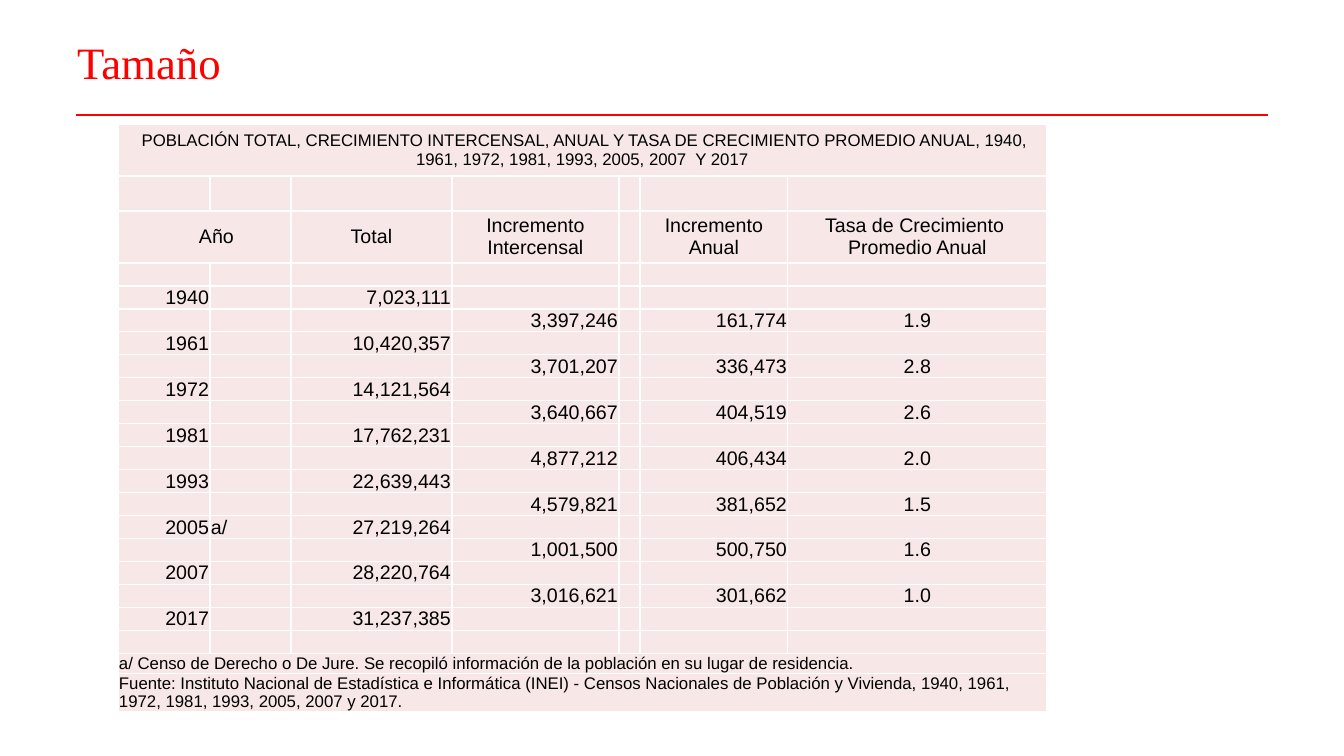
from dataclasses import dataclass
from typing import Any

from lxml import etree
from pptx import Presentation
from pptx.dml.color import RGBColor
from pptx.enum.shapes import MSO_CONNECTOR
from pptx.enum.text import MSO_ANCHOR, MSO_AUTO_SIZE, PP_ALIGN
from pptx.oxml.ns import qn
from pptx.slide import Slide
from pptx.table import Table, _Cell
from pptx.util import Emu, Pt

LEFT, CENTER, RIGHT = PP_ALIGN.LEFT, PP_ALIGN.CENTER, PP_ALIGN.RIGHT
MIDDLE = MSO_ANCHOR.MIDDLE
NO_AUTOFIT = MSO_AUTO_SIZE.NONE
STRAIGHT = MSO_CONNECTOR.STRAIGHT

RED = RGBColor(0xFF, 0x00, 0x00)
BLACK = RGBColor(0x00, 0x00, 0x00)
WHITE = RGBColor(0xFF, 0xFF, 0xFF)
PALE_PINK = RGBColor(0xF7, 0xE8, 0xE7)

EMU_PER_PX = 914400 / 100.8
BODY_SIZE, SMALL_SIZE, BLANK_SIZE = 14, 12, 10

COLUMN_WIDTHS = [92, 81, 161, 167, 21, 148, 259]
YEAR, NOTE, TOTAL, INCREMENT, _, ANNUAL, RATE = range(len(COLUMN_WIDTHS))
CAPTION_ROW, HEADING_ROW, FIRST_CENSUS_ROW = 0, 2, 4


@dataclass(frozen=True)
class Census:
    year: str
    total: str
    note: str = ""


@dataclass(frozen=True)
class Interval:
    increment: str
    annual: str
    rate: str


@dataclass(frozen=True)
class Entry:
    row: int
    column: int
    text: str
    align: PP_ALIGN = CENTER
    size: int = BODY_SIZE
    span: int = 1
    indent: int = 1


CENSUSES = [
    Census("1940", "7,023,111"),
    Census("1961", "10,420,357"),
    Census("1972", "14,121,564"),
    Census("1981", "17,762,231"),
    Census("1993", "22,639,443"),
    Census("2005", "27,219,264", "a/"),
    Census("2007", "28,220,764"),
    Census("2017", "31,237,385"),
]
INTERVALS = [
    Interval("3,397,246", "161,774", "1.9"),
    Interval("3,701,207", "336,473", "2.8"),
    Interval("3,640,667", "404,519", "2.6"),
    Interval("4,877,212", "406,434", "2.0"),
    Interval("4,579,821", "381,652", "1.5"),
    Interval("1,001,500", "500,750", "1.6"),
    Interval("3,016,621", "301,662", "1.0"),
]
# Caption, gap, headings, gap, census and interval rows, gap, two footnotes
ROW_HEIGHTS = [52, 35, 52] + [23] * (len(CENSUSES) + len(INTERVALS) + 2) + [20, 38]
FOOTNOTE_ROW = len(ROW_HEIGHTS) - 2

CAPTION = (
    " POBLACIÓN TOTAL, CRECIMIENTO INTERCENSAL, ANUAL Y TASA DE CRECIMIENTO "
    "PROMEDIO ANUAL, 1940, 1961, 1972, 1981, 1993, 2005, 2007  Y 2017"
)
FOOTNOTES = [
    "a/ Censo de Derecho o De Jure. Se recopiló información de la población "
    "en su lugar de residencia.",
    "Fuente: Instituto Nacional de Estadística e Informática (INEI) - Censos "
    "Nacionales de Población y Vivienda, 1940, 1961, 1972, 1981, 1993, 2005, "
    "2007 y 2017.",
]


def px(length: int) -> Emu:
    return Emu(round(length * EMU_PER_PX))


def apply(target: Any, values: dict[str, Any]) -> None:
    for attribute, value in values.items():
        setattr(target, attribute, value)


def add_heading(slide: Slide, text: str) -> None:
    title = slide.shapes.title
    apply(title, {"left": px(67), "top": px(30), "width": px(1120), "height": px(69)})
    frame = title.text_frame
    frame.text = text
    apply(frame, {"vertical_anchor": MIDDLE, "auto_size": NO_AUTOFIT, "word_wrap": True})
    paragraph = frame.paragraphs[0]
    apply(paragraph, {"alignment": LEFT, "line_spacing": 0.9})
    font = paragraph.runs[0].font
    apply(font, {"name": "Times New Roman", "size": Pt(32)})
    font.color.rgb = RED


def add_rule(slide: Slide) -> None:
    rule = slide.shapes.add_connector(STRAIGHT, px(76), px(115), px(1268), px(115))
    rule.line.color.rgb = RED
    rule.line.width = Pt(1)
    etree.SubElement(rule._element.spPr, qn("a:effectLst"))


def format_cell(cell: _Cell) -> None:
    apply(cell, {
        "margin_left": px(1), "margin_right": px(1),
        "margin_top": 0, "margin_bottom": 0,
        "vertical_anchor": MIDDLE,
    })
    properties = cell._tc.get_or_add_tcPr()
    for side in ("a:lnL", "a:lnR", "a:lnT", "a:lnB"):
        border = etree.SubElement(properties, qn(side), w=str(Pt(1)))
        fill = etree.SubElement(border, qn("a:solidFill"))
        etree.SubElement(fill, qn("a:srgbClr"), val=str(WHITE))
    cell.fill.solid()
    cell.fill.fore_color.rgb = PALE_PINK
    # Small blank cells keep their rows from growing
    paragraph = cell.text_frame.paragraphs[0]._p
    etree.SubElement(paragraph, qn("a:endParaRPr"), sz=str(BLANK_SIZE * 100))


def fill_cell(table: Table, entry: Entry) -> None:
    cell = table.cell(entry.row, entry.column)
    if entry.span > 1:
        cell.merge(table.cell(entry.row, entry.column + entry.span - 1))
    cell.margin_left = px(entry.indent)
    paragraph = cell.text_frame.paragraphs[0]
    paragraph.text = entry.text
    paragraph.alignment = entry.align
    for run in paragraph.runs:
        apply(run.font, {"name": "Arial", "size": Pt(entry.size), "bold": False})
        run.font.color.rgb = BLACK


def table_entries() -> list[Entry]:
    full = len(COLUMN_WIDTHS)
    entries = [
        Entry(CAPTION_ROW, YEAR, CAPTION, size=SMALL_SIZE, span=full),
        Entry(HEADING_ROW, YEAR, "Año", span=2, indent=25),
        Entry(HEADING_ROW, TOTAL, "Total"),
        Entry(HEADING_ROW, INCREMENT, "Incremento\vIntercensal"),
        Entry(HEADING_ROW, ANNUAL, "Incremento\vAnual"),
        Entry(HEADING_ROW, RATE, "Tasa de Crecimiento \vPromedio Anual"),
    ]
    # Censuses and the intervals between them take alternate rows
    for index, census in enumerate(CENSUSES):
        row = FIRST_CENSUS_ROW + 2 * index
        entries += [
            Entry(row, YEAR, census.year, RIGHT),
            Entry(row, TOTAL, census.total, RIGHT),
        ]
        if census.note:
            entries.append(Entry(row, NOTE, census.note, LEFT))
    for index, interval in enumerate(INTERVALS):
        row = FIRST_CENSUS_ROW + 2 * index + 1
        entries += [
            Entry(row, INCREMENT, interval.increment, RIGHT),
            Entry(row, ANNUAL, interval.annual, RIGHT),
            Entry(row, RATE, interval.rate),
        ]
    for row, footnote in enumerate(FOOTNOTES, FOOTNOTE_ROW):
        entries.append(Entry(row, YEAR, footnote, LEFT, SMALL_SIZE, full))
    return entries


def add_population_table(slide: Slide) -> None:
    table = slide.shapes.add_table(
        len(ROW_HEIGHTS), len(COLUMN_WIDTHS),
        px(118), px(124), px(sum(COLUMN_WIDTHS)), px(sum(ROW_HEIGHTS)),
    ).table
    apply(table, {"first_row": False, "horz_banding": False})
    for column, width in zip(table.columns, COLUMN_WIDTHS):
        column.width = px(width)
    for row, height in zip(table.rows, ROW_HEIGHTS):
        row.height = px(height)
    for cell in table.iter_cells():
        format_cell(cell)
    for entry in table_entries():
        fill_cell(table, entry)


def main() -> None:
    deck = Presentation()
    apply(deck, {"slide_width": px(1344), "slide_height": px(756)})
    slide = deck.slides.add_slide(deck.slide_layouts[5])
    add_heading(slide, "Tamaño")
    add_rule(slide)
    add_population_table(slide)
    deck.save("out.pptx")


if __name__ == "__main__":
    main()
